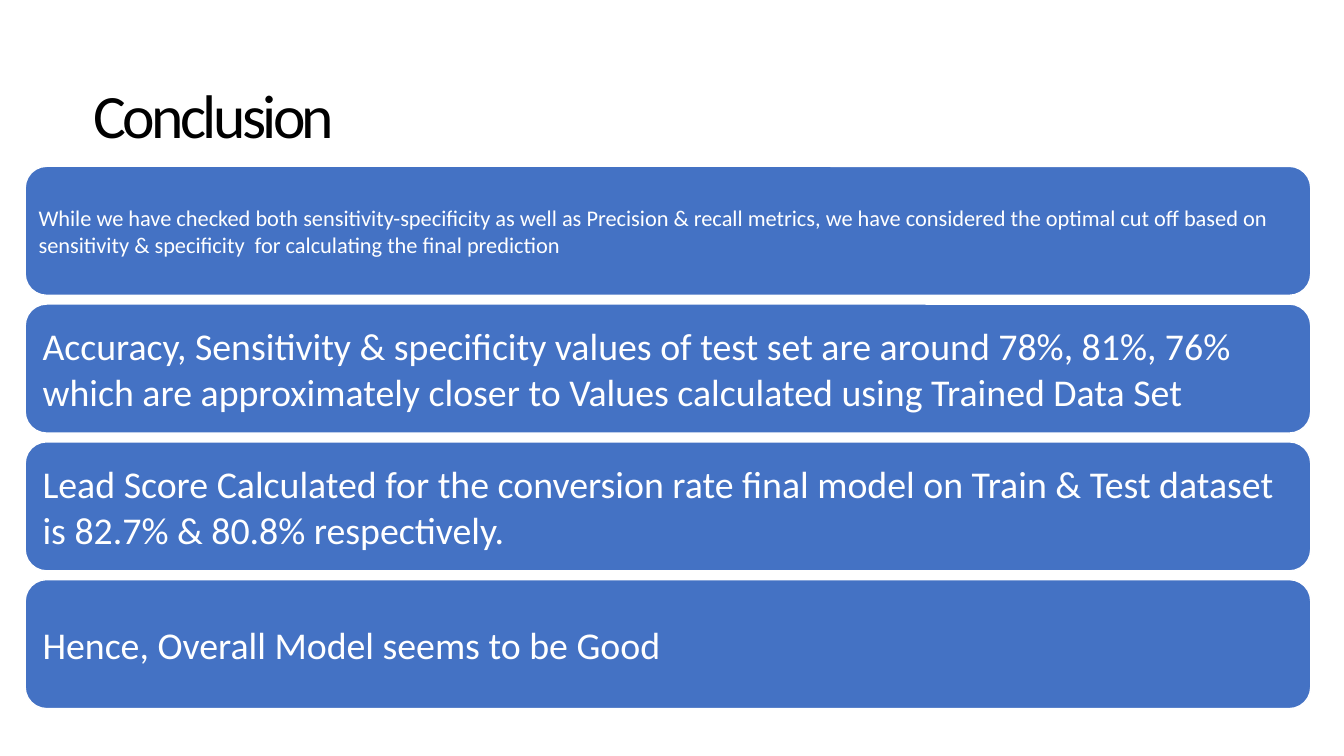
import dataclasses

import pptx
import pptx.dml.color
import pptx.enum.shapes
import pptx.enum.text
import pptx.util

Inches = pptx.util.Inches
Pt = pptx.util.Pt
RGB = pptx.dml.color.RGBColor


@dataclasses.dataclass(frozen=True)
class Theme:
    """Colours, font and type sizes of the deck."""
    font: str = "Calibri"
    ink: RGB = RGB(0x00, 0x00, 0x00)
    paper: RGB = RGB(0xFF, 0xFF, 0xFF)
    card: RGB = RGB(0x44, 0x72, 0xC4)
    title_size: int = 44
    title_spacing: int = -260
    card_size: int = 27
    small_size: int = 16


THEME = Theme()
CARD_HEIGHT = 1.28
FINDINGS = [
    ("While we have checked both sensitivity-specificity as well as Precision & recall metrics, "
     "we have considered the optimal cut off based on sensitivity & specificity  for calculating "
     "the final prediction", THEME.small_size, 0.07),
    ("Accuracy, Sensitivity & specificity values of test set are around 78%, 81%, 76% which are "
     "approximately closer to Values calculated using Trained Data Set", THEME.card_size, 0.11),
    ("Lead Score Calculated for the conversion rate final model on Train & Test dataset is "
     "82.7% & 80.8% respectively.", THEME.card_size, 0.11),
    ("Hence, Overall Model seems to be Good", THEME.card_size, 0.11),
]


def apply_format(target, values):
    """Set each attribute of the target from a dict."""
    for name, value in values.items():
        setattr(target, name, value)


def write_text(shape, text, size, colour, insets):
    """Write one left-aligned, vertically centred paragraph and return its run."""
    frame = shape.text_frame
    left, top, right, bottom = map(Inches, insets)
    apply_format(frame, {
        "word_wrap": True,
        "vertical_anchor": pptx.enum.text.MSO_ANCHOR.MIDDLE,
        "margin_left": left, "margin_top": top,
        "margin_right": right, "margin_bottom": bottom,
    })
    para = frame.paragraphs[0]
    para.alignment = pptx.enum.text.PP_ALIGN.LEFT
    span = para.add_run()
    span.text = text
    apply_format(span.font, {"name": THEME.font, "size": Pt(size)})
    span.font.color.rgb = colour
    return span


def add_title(page, box, text):
    """Place the tightly spaced slide title in the box."""
    shape = page.shapes.add_textbox(*map(Inches, box))
    span = write_text(shape, text, THEME.title_size, THEME.ink, (0.01, 0.01, 0, 0))
    shape.text_frame.paragraphs[0].space_before = Pt(1)
    span.font._element.set("spc", str(THEME.title_spacing))


def add_card(page, box, text, size, inset):
    """Place one rounded card with its finding."""
    kind = pptx.enum.shapes.MSO_SHAPE.ROUNDED_RECTANGLE
    shape = page.shapes.add_shape(kind, *map(Inches, box))
    shape.shadow.inherit = False
    shape.fill.solid()
    shape.fill.fore_color.rgb = THEME.card
    shape.line.color.rgb = THEME.paper
    shape.line.width = Pt(1)
    write_text(shape, text, size, THEME.paper, [inset] * 4)


def add_card_stack(page, box, findings):
    """Spread the cards evenly down the box."""
    left, top, width, height = box
    step = (height - CARD_HEIGHT) / (len(findings) - 1)
    for index, finding in enumerate(findings):
        add_card(page, (left, top + index * step, width, CARD_HEIGHT), *finding)


def main():
    """Build and save the conclusion slide."""
    deck = pptx.Presentation()
    apply_format(deck, {"slide_width": Inches(13.33), "slide_height": Inches(7.5)})
    page = deck.slides.add_slide(deck.slide_layouts[6])
    add_title(page, (0.92, 0.4, 11.5, 1.45), "Conclusion")
    add_card_stack(page, (0.25, 1.65, 12.75, 5.38), FINDINGS)
    deck.save("out.pptx")


if __name__ == "__main__":
    main()
